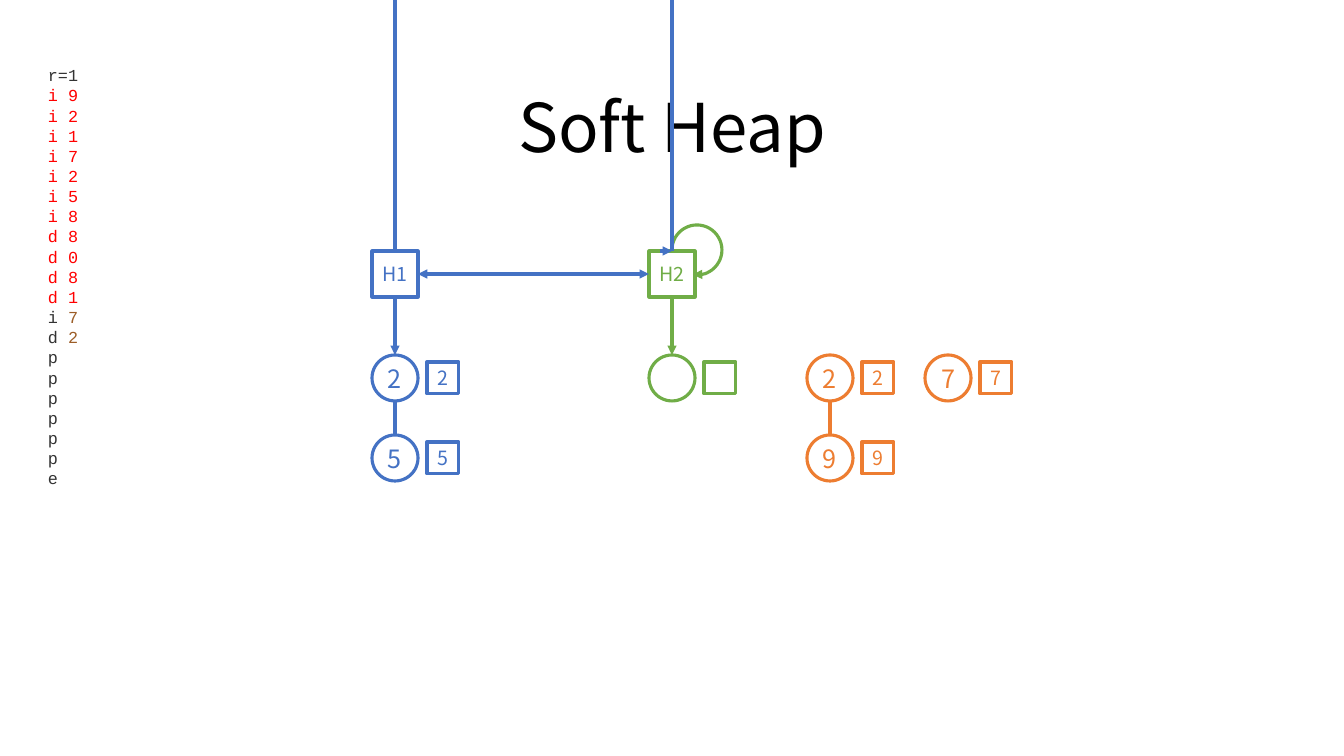
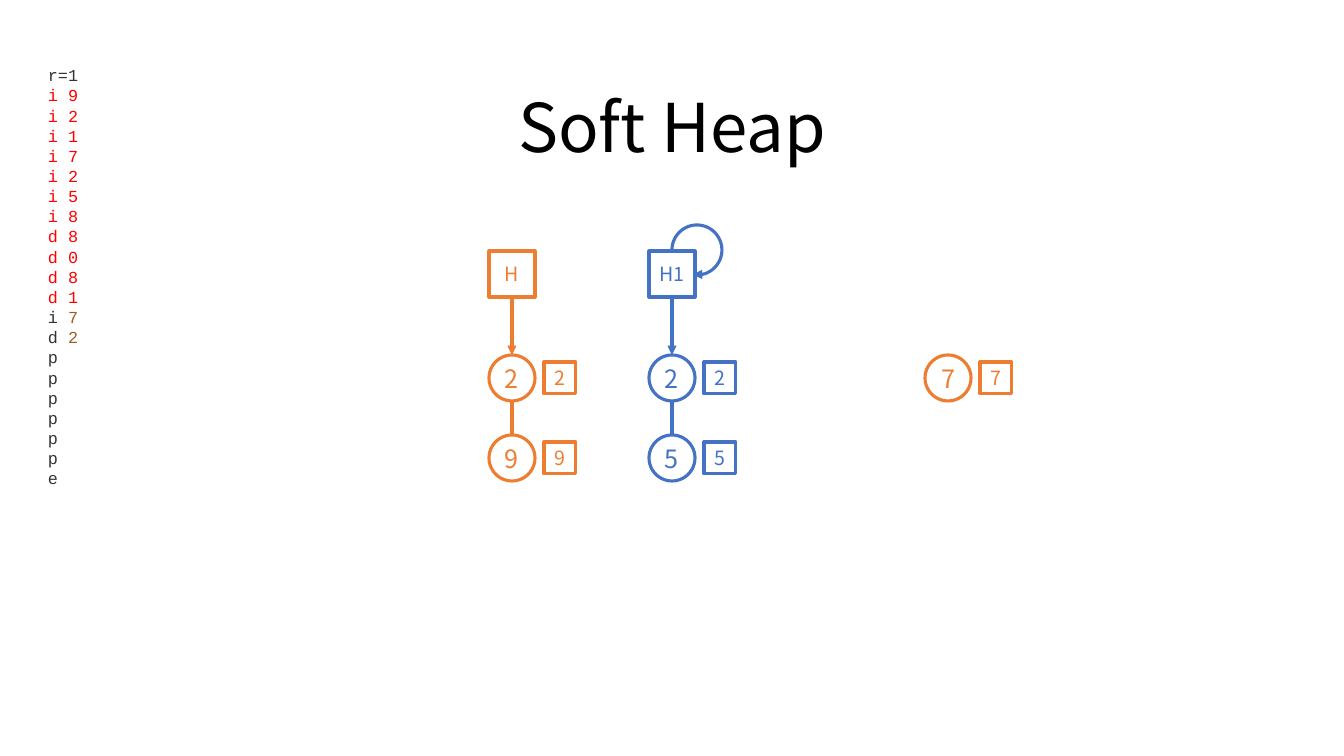
from lxml import etree
from pptx import Presentation
from pptx.dml.color import RGBColor
from pptx.enum.shapes import MSO_CONNECTOR, MSO_SHAPE
from pptx.enum.text import MSO_ANCHOR, PP_ALIGN
from pptx.oxml.ns import qn
from pptx.util import Emu, Pt

STRAIGHT = MSO_CONNECTOR.STRAIGHT
SQUARE, CIRCLE, ARC = MSO_SHAPE.RECTANGLE, MSO_SHAPE.OVAL, MSO_SHAPE.ARC
CENTER, MIDDLE, BOTTOM = PP_ALIGN.CENTER, MSO_ANCHOR.MIDDLE, MSO_ANCHOR.BOTTOM

COLORS = {
    "blue": "4472C4", "green": "70AD47", "orange": "ED7D31",
    "title": "000000", "pending": "333333", "done": "FF0000", "value": "9C5D27",
}
SANS, MONO = "Noto Sans CJK SC", "Courier New"
TITLE_FONT = {"name": SANS, "size": Pt(48)}
CODE_FONT = {"name": MONO, "size": Pt(12)}
NODE_FONT = {"name": SANS, "size": Pt(18)}
SMALL_FONT = {"name": SANS, "size": Pt(14)}
LABEL_FRAME = {"word_wrap": False, "vertical_anchor": MIDDLE, "margin_left": 0,
               "margin_right": 0, "margin_top": 0, "margin_bottom": 0}

EMU_PER_PX = 914400 / 100.8
WIDTH, HEIGHT = 1344, 756
LINE_WIDTH = Pt(2.25)
NODE, KEY, LOOP = 46, 32, 50
HALF = NODE // 2
KEY_OFFSET = 48
HEAD_Y, ROOT_Y, CHILD_Y = 274, 378, 458

COMMANDS = [[("r=1", "pending")]]
COMMANDS += [[(text, "done")] for text in
             ("i 9", "i 2", "i 1", "i 7", "i 2", "i 5", "i 8", "d 8", "d 0", "d 8", "d 1")]
COMMANDS += [[("i ", "pending"), ("7", "value")], [("d ", "pending"), ("2", "value")]]
COMMANDS += [[(text, "pending")] for text in "ppppppe"]


def px(*lengths):
    return [Emu(round(length * EMU_PER_PX)) for length in lengths]


def rgb(name):
    return RGBColor.from_string(COLORS[name])


def apply_format(target, values):
    for name, value in values.items():
        setattr(target, name, value)


def add_span(para, text, font, color):
    span = para.add_run()
    span.text = text
    apply_format(span.font, font)
    span.font.color.rgb = rgb(color)


def style_line(item, color, **ends):
    """Colour the line; ends maps headEnd or tailEnd to an arrow type."""
    item.line.color.rgb = rgb(color)
    item.line.width = LINE_WIDTH
    line = item.element.spPr.find(qn("a:ln"))
    for tag in ("headEnd", "tailEnd"):
        if tag in ends:
            etree.SubElement(line, qn(f"a:{tag}"), type=ends[tag])


def add_outline(slide, kind, left, top, size, color, **ends):
    shape = slide.shapes.add_shape(kind, *px(left, top, size, size))
    shape.shadow.inherit = False
    shape.fill.background()
    style_line(shape, color, **ends)
    return shape


def add_label_box(slide, kind, x, y, size, text, font, color):
    """Draw an outlined shape centred on x, y with its label, if any."""
    shape = add_outline(slide, kind, x - size // 2, y - size // 2, size, color)
    if text:
        frame = shape.text_frame
        apply_format(frame, LABEL_FRAME)
        para = frame.paragraphs[0]
        para.alignment = CENTER
        add_span(para, text, font, color)


def add_line(slide, start, end, color, **ends):
    connector = slide.shapes.add_connector(STRAIGHT, *px(*start, *end))
    style_line(connector, color, **ends)
    etree.SubElement(connector.element.spPr, qn("a:effectLst"))


def add_node(slide, x, y, text, color):
    """Draw a circle and, to its right, the square with its key."""
    add_label_box(slide, CIRCLE, x, y, NODE, text, NODE_FONT, color)
    add_label_box(slide, SQUARE, x + KEY_OFFSET, y, KEY, text, SMALL_FONT, color)


def add_tree(slide, x, color, root, child="", head=""):
    if head:
        add_label_box(slide, SQUARE, x, HEAD_Y, NODE, head, SMALL_FONT, color)
        add_line(slide, (x, HEAD_Y + HALF), (x, ROOT_Y - HALF), color, tailEnd="triangle")
    add_node(slide, x, ROOT_Y, root, color)
    if child:
        add_line(slide, (x, ROOT_Y + HALF), (x, CHILD_Y - HALF), color)
        add_node(slide, x, CHILD_Y, child, color)


def add_self_loop(slide, x, color):
    loop = add_outline(slide, ARC, x, HEAD_Y - HALF - LOOP // 2 - 1, LOOP, color,
                       tailEnd="triangle")
    loop.adjustments[0], loop.adjustments[1] = 107.31, 59.67


def add_head_links(slide, left, right, color):
    """Link two heads sideways and by lines that run up to the slide's edge."""
    add_line(slide, (left + HALF, HEAD_Y), (right - HALF, HEAD_Y), color,
             headEnd="triangle", tailEnd="triangle")
    top = HEAD_Y - HALF
    for x in (left, right):
        add_line(slide, (x, 0), (x, top), color)
    add_line(slide, (right - 12, top), (right, top), color, tailEnd="triangle")


def add_title(slide):
    frame = slide.shapes.add_textbox(*px(371, 72, 602, 100)).text_frame
    apply_format(frame, {"word_wrap": True, "vertical_anchor": BOTTOM})
    para = frame.paragraphs[0]
    apply_format(para, {"alignment": CENTER, "line_spacing": 0.9})
    add_span(para, "Soft Heap", TITLE_FONT, "title")


def add_commands(slide):
    frame = slide.shapes.add_textbox(*px(38, 60, 122, 437)).text_frame
    frame.word_wrap = True
    for index, spans in enumerate(COMMANDS):
        para = frame.add_paragraph() if index else frame.paragraphs[0]
        for text, color in spans:
            add_span(para, text, CODE_FONT, color)


def add_heap_slide(deck):
    slide = deck.slides.add_slide(deck.slide_layouts[6])
    add_title(slide)
    add_commands(slide)
    add_tree(slide, 948, "orange", "7")
    return slide


def main():
    deck = Presentation()
    deck.slide_width, deck.slide_height = px(WIDTH, HEIGHT)

    before = add_heap_slide(deck)
    add_tree(before, 672, "green", "", head="H2")
    add_tree(before, 395, "blue", "2", "5", "H1")
    add_tree(before, 830, "orange", "2", "9")
    add_self_loop(before, 672, "green")
    add_head_links(before, 395, 672, "blue")

    after = add_heap_slide(deck)
    add_tree(after, 512, "orange", "2", "9", "H")
    add_tree(after, 672, "blue", "2", "5", "H1")
    add_self_loop(after, 672, "blue")

    deck.save("out.pptx")


if __name__ == "__main__":
    main()
